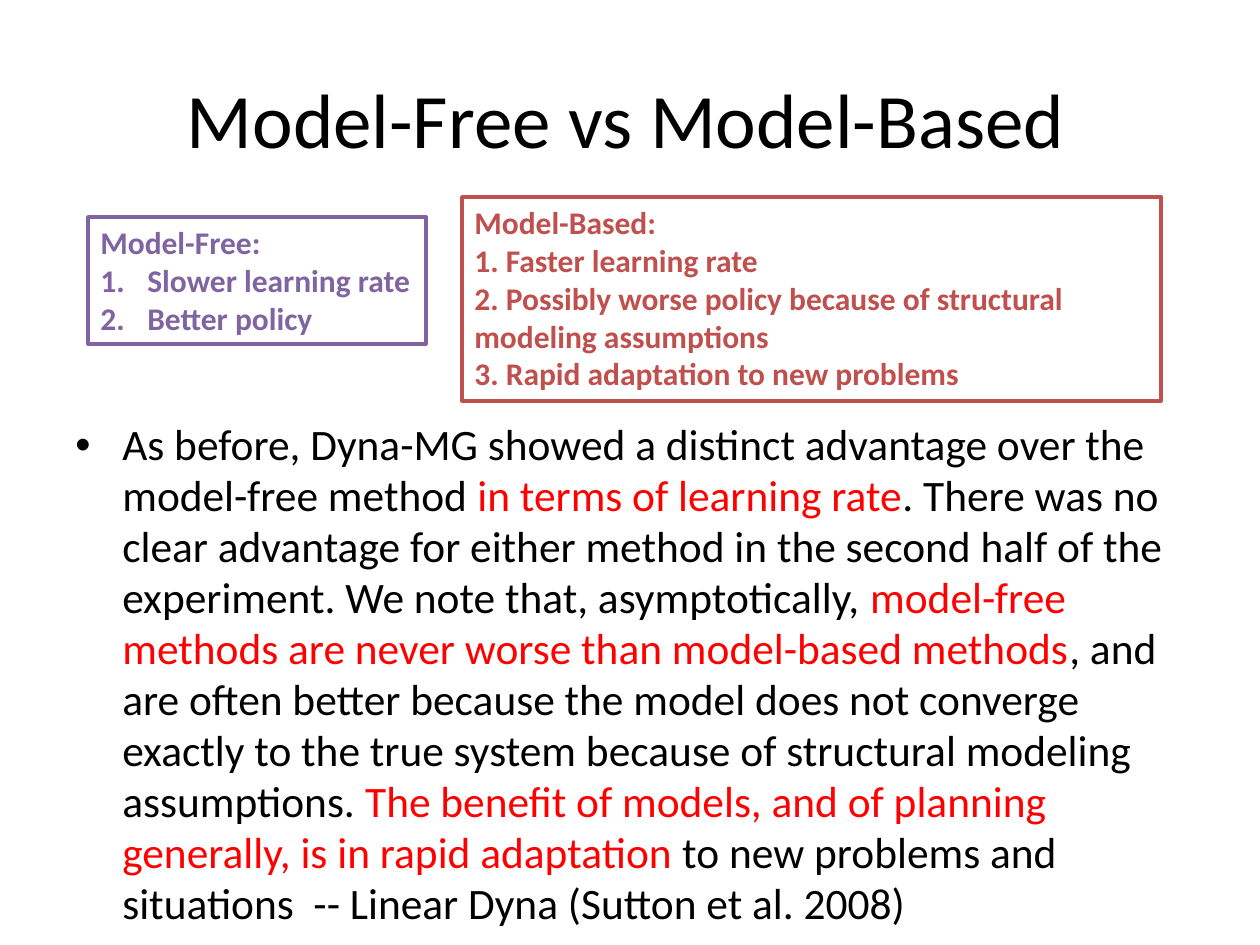
from dataclasses import dataclass

from lxml.etree import SubElement
from pptx import Presentation
from pptx.dml.color import RGBColor
from pptx.enum.shapes import MSO_SHAPE as Shape
from pptx.enum.text import MSO_ANCHOR as Anchor, MSO_AUTO_SIZE as AutoSize, PP_ALIGN as Align
from pptx.oxml.ns import qn
from pptx.util import Pt

EMU_PER_PX = 914400 / 126


@dataclass(frozen=True)
class Theme:
    """Colours, font and type sizes of the slide."""
    font: str = "Calibri"
    ink: str = "000000"
    paper: str = "FFFFFF"
    accent: str = "FF0000"
    model_free: str = "8064A2"
    model_based: str = "C0504D"
    title_size: float = 44
    body_size: float = 24.8
    box_size: float = 18
    border: float = 2
    hanging: int = 47


THEME = Theme()

QUOTE = [
    ("As before, Dyna-MG showed a distinct advantage over the model-free method ", THEME.ink),
    ("in terms of learning rate", THEME.accent),
    (". There was no clear advantage for either method in the second half of the experiment. "
     "We note that, asymptotically, ", THEME.ink),
    ("model-free methods are never worse than model-based methods", THEME.accent),
    (", and are often better because the model does not converge exactly to the true system "
     "because of structural modeling assumptions. ", THEME.ink),
    ("The benefit of models, and of planning generally, is in rapid adaptation ", THEME.accent),
    ("to new problems and situations  -- Linear Dyna (Sutton et al. 2008)", THEME.ink),
]


def px(length):
    """Turn pixels into EMU."""
    return round(length * EMU_PER_PX)


def write(paragraph, runs, size, bold=False, align=Align.LEFT, spacing=None):
    """Fill a paragraph with (text, colour) runs in one format."""
    paragraph.alignment = align
    paragraph.line_spacing = spacing
    for text, color in runs:
        run = paragraph.add_run()
        run.text = text
        run.font.name = THEME.font
        run.font.size = Pt(size)
        run.font.bold = bold
        run.font.color.rgb = RGBColor.from_string(color)


def add_marker(paragraph, tag, **attributes):
    """Give a paragraph a hanging bullet or number."""
    properties = paragraph._p.get_or_add_pPr()
    properties.set("marL", str(px(THEME.hanging)))
    properties.set("indent", str(-px(THEME.hanging)))
    if tag == "a:buChar":
        SubElement(properties, qn("a:buFont"), typeface="Arial")
    SubElement(properties, qn(tag), **attributes)


def set_title(slide, text, bounds):
    """Place and format the title placeholder."""
    title = slide.shapes.title
    title.left, title.top, title.width, title.height = map(px, bounds)
    title.text_frame.vertical_anchor = Anchor.MIDDLE
    write(title.text_frame.paragraphs[0], [(text, THEME.ink)], THEME.title_size, align=Align.CENTER)


def add_quote(slide, runs, bounds):
    """Add the bulleted quotation."""
    frame = slide.shapes.add_textbox(*map(px, bounds)).text_frame
    frame.word_wrap = True
    quote = frame.paragraphs[0]
    write(quote, runs, THEME.body_size, spacing=0.98)
    add_marker(quote, "a:buChar", char="•")


def add_summary(slide, heading, points, color, bounds, wrap=True, numbered=False):
    """Add a bordered box with a heading and its points."""
    box = slide.shapes.add_shape(Shape.RECTANGLE, *map(px, bounds))
    box.shadow.inherit = False
    box.fill.solid()
    box.fill.fore_color.rgb = RGBColor.from_string(THEME.paper)
    box.line.color.rgb = RGBColor.from_string(color)
    box.line.width = Pt(THEME.border)
    frame = box.text_frame
    frame.word_wrap = wrap
    frame.auto_size = AutoSize.SHAPE_TO_FIT_TEXT
    frame.vertical_anchor = Anchor.TOP
    write(frame.paragraphs[0], [(heading, color)], THEME.box_size, bold=True)
    for point in points:
        paragraph = frame.add_paragraph()
        write(paragraph, [(point, color)], THEME.box_size, bold=True)
        if numbered:
            add_marker(paragraph, "a:buAutoNum", type="arabicPeriod")


def main():
    """Build the slide and save it."""
    deck = Presentation()
    deck.slide_width, deck.slide_height = px(1260), px(945)
    slide = deck.slides.add_slide(deck.slide_layouts[5])
    set_title(slide, "Model-Free vs Model-Based", (59, 39, 1134, 158))
    add_quote(slide, QUOTE, (63, 413, 1134, 483))
    add_summary(slide, "Model-Based:",
                ["1. Faster learning rate",
                 "2. Possibly worse policy because of structural modeling assumptions",
                 "3. Rapid adaptation to new problems"],
                THEME.model_based, (462, 197, 699, 204))
    add_summary(slide, "Model-Free:", ["Slower learning rate", "Better policy"],
                THEME.model_free, (88, 217, 338, 127), wrap=False, numbered=True)
    deck.save("out.pptx")


if __name__ == "__main__":
    main()
